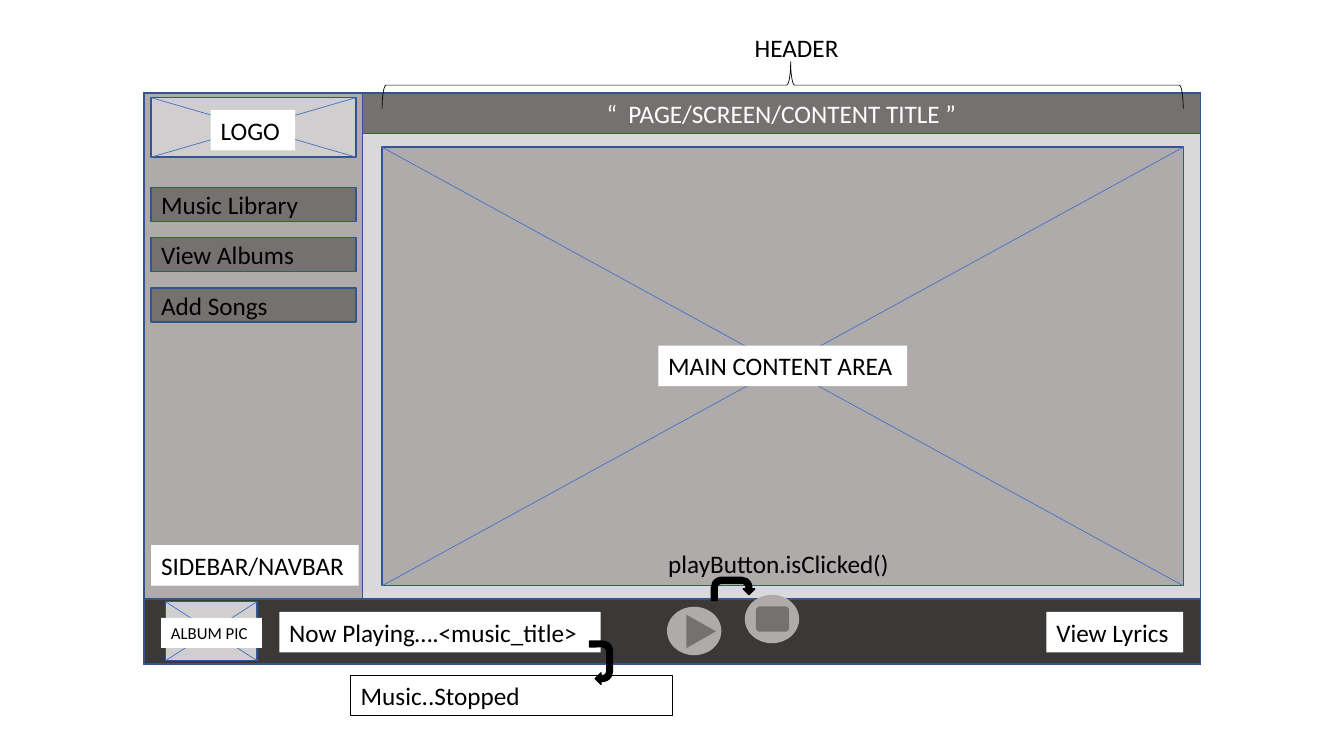
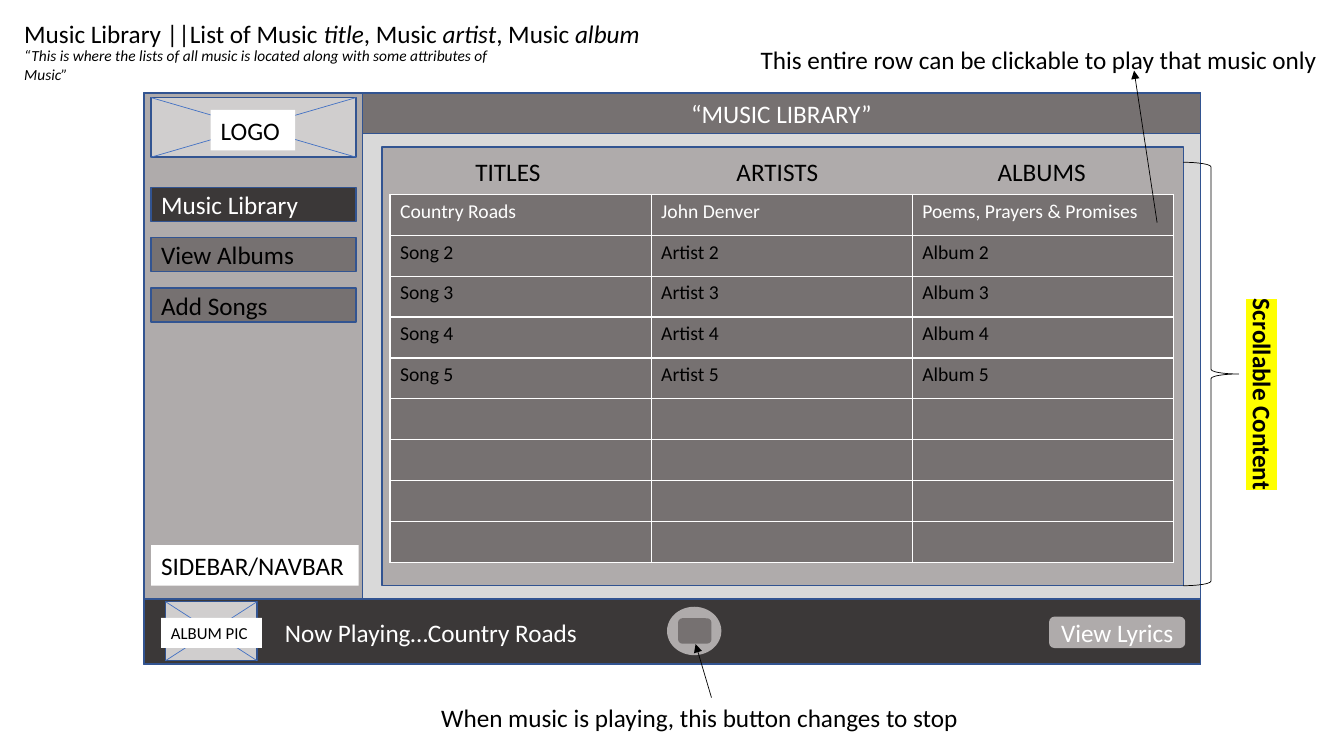
from dataclasses import dataclass

from lxml import etree
from pptx import Presentation
from pptx import util as u
from pptx.dml import color
from pptx.enum import shapes, text
from pptx.oxml import ns

KIND = shapes.MSO_SHAPE
MIDDLE = text.MSO_ANCHOR.MIDDLE
CENTER = text.PP_ALIGN.CENTER


@dataclass(frozen=True)
class Theme:
    font: str = "Calibri"
    body: int = 18
    cell: int = 14
    small: int = 12
    note: int = 11
    hairline: float = 0.5
    outline: float = 1
    white: str = "FFFFFF"
    black: str = "000000"
    canvas: str = "D9D9D9"
    panel: str = "AFABAB"
    button: str = "767171"
    dark: str = "3B3838"
    image: str = "D0CECE"
    border: str = "325491"
    cross: str = "4472C4"
    highlight: str = "FFFF00"


THEME = Theme()
CONTENT = (9.63, 3.71, 20.19, 11.05)
MENU = ("Music Library", "View Albums", "Add Songs")
HEADINGS = ("TITLES", "ARTISTS", "ALBUMS")
SONGS = [("Country Roads", "John Denver", "Poems, Prayers & Promises")]
SONGS += [(f"Song {n}", f"Artist {n}", f"Album {n}") for n in range(2, 6)]
TABLE_ROWS = 9
COLUMN_WIDTH = 6.58
ROW_HEIGHT = 1.03


def lengths(*values):
    return [u.Cm(value) for value in values]


def rgb(value):
    return color.RGBColor.from_string(value)


class Wireframe:
    def __init__(self, presentation):
        self.presentation = presentation
        self.slide = None

    def new_slide(self):
        self.slide = self.presentation.slides.add_slide(self.presentation.slide_layouts[6])

    def group(self):
        return self.slide.shapes.add_group_shape().shapes

    def style_font(self, font, size, ink, bold=False, italic=False):
        font.name = THEME.font
        font.size = u.Pt(size)
        font.bold = bold
        font.italic = italic
        font.color.rgb = rgb(ink)

    def set_text(self, frame, words, size=THEME.body, ink=THEME.black, align=None, anchor=None,
                 bold=False, italic=False):
        frame.word_wrap = True
        if anchor is not None:
            frame.vertical_anchor = anchor
        paragraph = frame.paragraphs[0]
        paragraph.alignment = align or text.PP_ALIGN.LEFT
        paragraph.add_run().text = words
        self.style_font(paragraph.font, size, ink, bold, italic)
        return paragraph

    def box(self, place, fill=None, line=None, words=None, kind=KIND.RECTANGLE, parent=None,
            rotation=0, width=THEME.outline, **style):
        shape = (parent or self.slide.shapes).add_shape(kind, *lengths(*place))
        shape.shadow.inherit = False
        shape.rotation = rotation
        if fill:
            shape.fill.solid()
            shape.fill.fore_color.rgb = rgb(fill)
        else:
            shape.fill.background()
        if line:
            shape.line.color.rgb = rgb(line)
            shape.line.width = u.Pt(width)
        else:
            shape.line.fill.background()
        if words:
            self.set_text(shape.text_frame, words, **style)
        return shape

    def label(self, place, words, line=None, **style):
        self.box(place, THEME.white, line, words, width=0.75, anchor=text.MSO_ANCHOR.TOP, **style)

    def caption(self, place, words, rotation=0, **style):
        shape = self.slide.shapes.add_textbox(*lengths(*place))
        shape.rotation = rotation
        return self.set_text(shape.text_frame, words, **style)

    def line(self, start, end, ink=THEME.black, arrow=False, parent=None):
        connector = (parent or self.slide.shapes).add_connector(
            shapes.MSO_CONNECTOR.STRAIGHT, *lengths(*start, *end))
        connector.line.color.rgb = rgb(ink)
        connector.line.width = u.Pt(THEME.hairline)
        properties = connector.element.spPr
        if arrow:
            etree.SubElement(properties.find(ns.qn("a:ln")), ns.qn("a:tailEnd"), type="triangle")
        etree.SubElement(properties, ns.qn("a:effectLst"))

    def image_box(self, place, fill=THEME.image):
        left, top, width, height = place
        right, bottom = left + width, top + height
        parent = self.group()
        self.box(place, fill, THEME.border, parent=parent)
        self.line((left, top), (right, bottom), THEME.cross, parent=parent)
        self.line((right, top), (left, bottom), THEME.cross, parent=parent)

    def player_button(self, left, top, kind, offset, size, rotation=0):
        parent = self.group()
        self.box((left, top, 1.37, 1.22), THEME.panel, kind=KIND.OVAL, parent=parent)
        self.box((left + offset[0], top + offset[1], *size), THEME.button, kind=kind,
                 parent=parent, rotation=rotation)

    def play_button(self, left, top):
        self.player_button(left, top, KIND.ISOSCELES_TRIANGLE, (0.44, 0.25), (0.84, 0.74), 90)

    def stop_button(self, left, top):
        self.player_button(left, top, KIND.ROUNDED_RECTANGLE, (0.28, 0.29), (0.84, 0.64))

    def turn_arrow(self, left, top, rotation=0):
        self.box((left, top, 1.09, 0.58), THEME.black, THEME.black, kind=KIND.U_TURN_ARROW,
                 rotation=rotation)

    def brace(self, place, rotation=0, tip=0.5):
        shape = self.box(place, line=THEME.black, kind=KIND.RIGHT_BRACE, rotation=rotation,
                         width=THEME.hairline)
        shape.adjustments[1] = tip

    def table(self, left, top, rows):
        columns = len(HEADINGS)
        table = self.slide.shapes.add_table(
            TABLE_ROWS, columns,
            *lengths(left, top, columns * COLUMN_WIDTH, TABLE_ROWS * ROW_HEIGHT)).table
        table.horz_banding = False
        for column in table.columns:
            column.width = u.Cm(COLUMN_WIDTH)
        for row in table.rows:
            row.height = u.Cm(ROW_HEIGHT)
        for cell in table.iter_cells():
            cell.fill.solid()
            cell.fill.fore_color.rgb = rgb(THEME.button)
        for row_index, row in enumerate(rows):
            ink = THEME.black if row_index else THEME.white
            for column_index, words in enumerate(row):
                cell = table.cell(row_index, column_index)
                self.set_text(cell.text_frame, words, size=THEME.cell, ink=ink)

    def screen(self, title, selected=None, crossed=False):
        self.new_slide()
        self.box((3.63, 2.34, 26.62, 14.4), THEME.canvas, THEME.border)
        if crossed:
            self.image_box(CONTENT, THEME.panel)
        else:
            self.box(CONTENT, THEME.panel, THEME.border)
        self.box((9.14, 2.34, 21.11, 1.02), THEME.button, THEME.border, title,
                 ink=THEME.white, align=CENTER, anchor=MIDDLE)
        self.box((3.63, 2.34, 5.51, 12.75), THEME.panel, THEME.border)
        self.label((3.81, 13.74, 5.23, 1.02), "SIDEBAR/NAVBAR")
        for index, item in enumerate(MENU):
            active = item == selected
            self.box((3.81, 4.72 + 1.27 * index, 5.16, 0.86),
                     THEME.dark if active else THEME.button, THEME.border, item,
                     ink=THEME.white if active else THEME.black, anchor=MIDDLE)
        self.box((3.63, 15.09, 26.62, 1.64), THEME.dark, THEME.border)
        self.image_box((3.81, 2.46, 5.16, 1.5))
        self.label((5.31, 2.77, 2.13, 1.02), "LOGO")
        self.image_box((4.17, 15.16, 2.31, 1.49))
        self.label((4.06, 15.57, 2.54, 0.76), "ALBUM PIC", size=THEME.small)


def layout_slide(wireframe):
    wireframe.screen("“  PAGE/SCREEN/CONTENT TITLE ”", crossed=True)
    wireframe.caption((18.77, 0.69, 5.11, 1.02), "HEADER")
    wireframe.brace((19.13, -7.95, 1.19, 20.19), rotation=270, tip=0.51)
    wireframe.label((16.59, 8.71, 6.27, 1.02), "MAIN CONTENT AREA")
    wireframe.play_button(16.81, 15.29)
    wireframe.turn_arrow(17.93, 14.55)
    wireframe.stop_button(18.77, 14.99)
    wireframe.caption((16.59, 13.69, 7.34, 1.02), "playButton.isClicked()")
    wireframe.label((7.04, 15.42, 8.1, 1.02), "Now Playing….<music_title>")
    wireframe.label((8.84, 17.02, 8.1, 1.02), "Music..Stopped", line=THEME.black)
    wireframe.turn_arrow(14.6, 16.41, rotation=90)
    wireframe.label((26.37, 15.42, 3.45, 1.02), "View Lyrics")


def library_slide(wireframe):
    wireframe.screen("“MUSIC LIBRARY”", selected="Music Library")
    paragraph = wireframe.caption((0.36, 0.33, 17.83, 1.02), "Music Library ||List of Music ")
    for words, italic in (("title", True), (", Music ", False), ("artist", True),
                          (", Music ", False), ("album", True)):
        run = paragraph.add_run()
        run.text = words
        run.font.italic = italic
    wireframe.caption(
        (0.36, 1.04, 13.36, 0.74),
        "“This is where the lists of all music is located along with some attributes of Music”",
        size=THEME.note, italic=True)
    wireframe.caption((6.93, 15.42, 8.81, 1.02), "Now Playing…Country Roads", ink=THEME.white)
    wireframe.table(9.83, 4.9, SONGS)
    for index, heading in enumerate(HEADINGS):
        wireframe.caption((11.73 + COLUMN_WIDTH * index, 3.81, 3.05, 1.02), heading)
    wireframe.brace((29.82, 4.09, 1.4, 10.67))
    paragraph = wireframe.caption((28.8, 9.8, 6.05, 1.02), "Scrollable Content", rotation=90,
                                  bold=True)
    properties = paragraph.runs[0]._r.get_or_add_rPr()
    highlight = etree.SubElement(properties, ns.qn("a:highlight"))
    etree.SubElement(highlight, ns.qn("a:srgbClr"), val=THEME.highlight)
    wireframe.box((26.44, 15.54, 3.43, 0.79), THEME.panel, words="View Lyrics",
                  kind=KIND.ROUNDED_RECTANGLE, ink=THEME.white, align=CENTER, anchor=MIDDLE)
    wireframe.stop_button(16.81, 15.29)
    wireframe.caption((10.87, 17.58, 14.12, 1.02),
                      "When music is playing, this button changes to stop")
    wireframe.line((17.93, 17.58), (17.53, 16.23), arrow=True)
    wireframe.line((29.16, 5.61), (28.58, 1.78), arrow=True)
    wireframe.caption((18.92, 0.99, 15.09, 1.02),
                      "This entire row can be clickable to play that music only")


def main():
    presentation = Presentation()
    presentation.slide_width, presentation.slide_height = lengths(33.87, 19.05)
    wireframe = Wireframe(presentation)
    layout_slide(wireframe)
    library_slide(wireframe)
    presentation.save("out.pptx")


if __name__ == "__main__":
    main()
